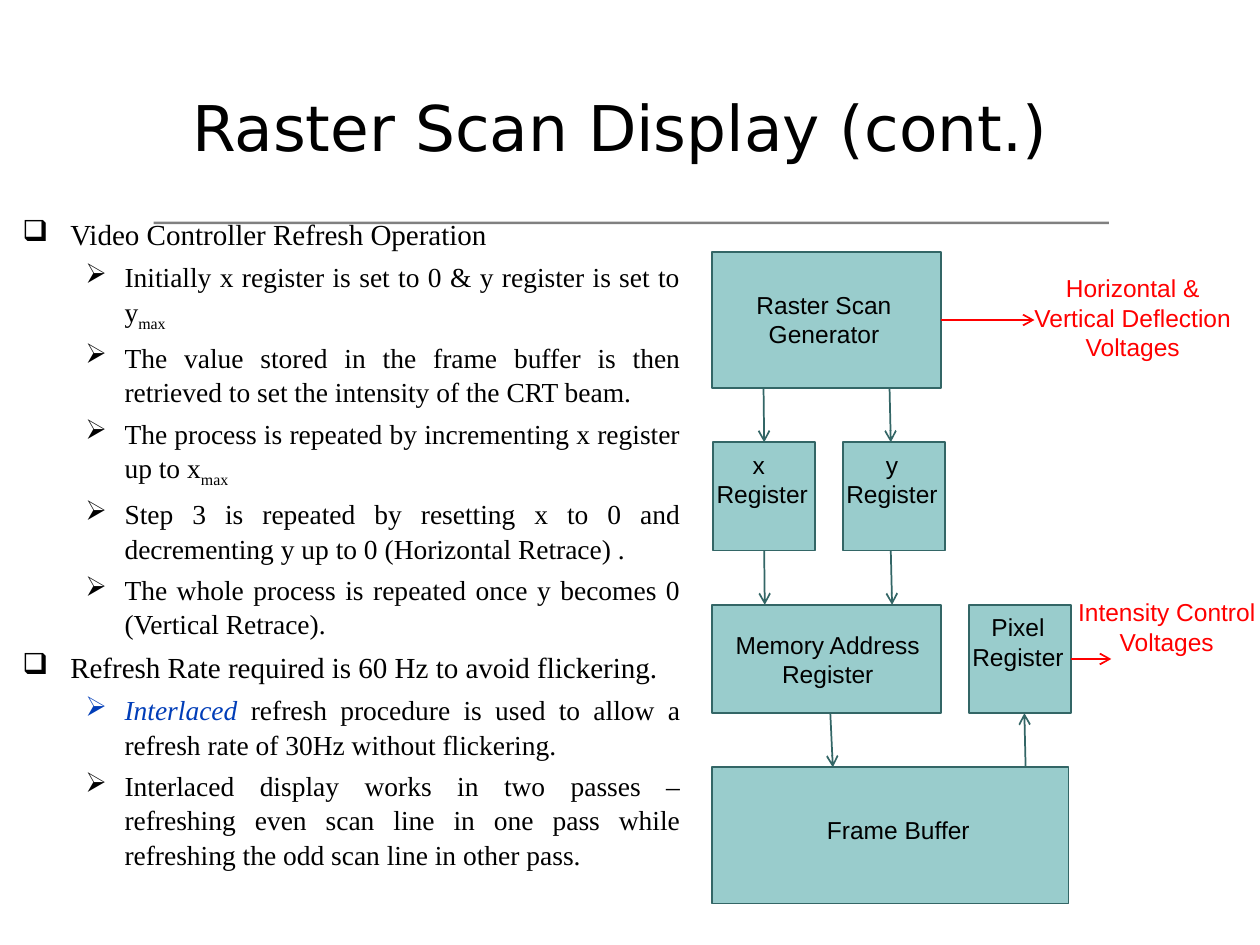
from dataclasses import dataclass

from lxml.etree import SubElement
from pptx import Presentation
from pptx.dml.color import RGBColor
from pptx.enum.shapes import MSO_CONNECTOR as Connector, MSO_SHAPE as Preset
from pptx.enum.text import MSO_ANCHOR as Anchor, MSO_AUTO_SIZE as AutoSize, PP_ALIGN as Align
from pptx.oxml.ns import qn
from pptx.util import Inches, Pt

COLUMNS, ROWS = 100, 75
WIDTH, HEIGHT = Inches(10), Inches(7.5)
TOP, LEFT, BOTTOM, RIGHT = range(4)


@dataclass(frozen=True)
class Theme:
    ink: str = "000000"
    accent: str = "003DB8"
    signal: str = "FF0000"
    box_fill: str = "99CCCC"
    box_line: str = "336666"
    rule: str = "808080"
    title_font: str = "DejaVu Sans"
    body_font: str = "Times New Roman"
    label_font: str = "Arial"
    title_size: float = 36
    topic_size: float = 16.6
    step_size: float = 15.7
    label_size: float = 14
    body_spacing: float = 1.045


THEME = Theme()

OUTLINE = [
    (0, [("Video Controller Refresh Operation", "")]),
    (1, [("Initially x register is set to 0 & y register is set to y", ""), ("max", "sub")]),
    (1, [("The value stored in the frame buffer is then retrieved to set "
          "the intensity of the CRT beam.", "")]),
    (1, [("The process is repeated by incrementing x register up to x", ""), ("max", "sub")]),
    (1, [("Step 3 is repeated by resetting x to 0 and decrementing y up to 0 "
          "(Horizontal Retrace) .", "")]),
    (1, [("The whole process is repeated once y becomes 0 (Vertical Retrace).", "")]),
    (0, [("Refresh Rate required is 60 Hz to avoid flickering.", "")]),
    (1, [("Interlaced", "term"),
         (" refresh procedure is used to allow a refresh rate of 30Hz without flickering.", "")]),
    (1, [("Interlaced display works in two passes – refreshing even scan line in one pass "
          "while refreshing the odd scan line in other pass. ", "")]),
]

NODES = {
    "generator": ((56.5, 20, 18.2, 10.8), (57.5, 22.5, 15.8, 5.7), "Raster Scan Generator"),
    "x": ((56.6, 35.1, 8.1, 8.6), (55.8, 35.2, 9.4, 5.7), "x \nRegister"),
    "y": ((66.9, 35.1, 8.1, 8.6), (66.1, 35.2, 9.4, 5.7), "y\nRegister"),
    "pixel": ((76.9, 48, 8.1, 8.6), (76.1, 48.1, 9.4, 5.7), "Pixel Register"),
    "address": ((56.5, 48, 18.2, 8.6), (57.2, 49.5, 17, 5.7), "Memory Address Register"),
    "buffer": ((56.5, 60.9, 28.3, 10.8), (64.2, 64.2, 14.2, 3.4), "Frame Buffer"),
}

SIGNALS = [
    ((80.8, 21.2, 18.2, 8), "Horizontal & Vertical Deflection Voltages"),
    ((83.5, 46.9, 18.2, 5.7), "Intensity Control Voltages"),
]


def x_at(column):
    return round(WIDTH * column / COLUMNS)


def y_at(row):
    return round(HEIGHT * row / ROWS)


def place(cell):
    column, row, across, down = cell
    return x_at(column), y_at(row), x_at(across), y_at(down)


def style(font, name, size, color):
    font.name, font.size = name, Pt(size)
    font.color.rgb = RGBColor.from_string(color)


def add_rectangle(slide, cell, fill, line=None):
    shape = slide.shapes.add_shape(Preset.RECTANGLE, *place(cell))
    shape.shadow.inherit = False
    shape.fill.solid()
    shape.fill.fore_color.rgb = RGBColor.from_string(fill)
    if line:
        shape.line.color.rgb = RGBColor.from_string(line)
        shape.line.width = Pt(1)
    else:
        shape.line.fill.background()
    return shape


def add_frame(slide, cell, auto_size=AutoSize.NONE, anchor=Anchor.TOP):
    frame = slide.shapes.add_textbox(*place(cell)).text_frame
    frame.word_wrap, frame.auto_size, frame.vertical_anchor = True, auto_size, anchor
    return frame


def add_title(slide, cell, text):
    paragraph = add_frame(slide, cell, anchor=Anchor.MIDDLE).paragraphs[0]
    paragraph.text, paragraph.alignment = text, Align.CENTER
    style(paragraph.font, THEME.title_font, THEME.title_size, THEME.ink)


def add_label(slide, cell, text, color=THEME.ink):
    frame = add_frame(slide, cell, AutoSize.SHAPE_TO_FIT_TEXT)
    frame.text = text
    for paragraph in frame.paragraphs:
        paragraph.alignment = Align.CENTER
        style(paragraph.font, THEME.label_font, THEME.label_size, color)


def add_bullet(paragraph, level, color):
    margin, hanging, mark = [(3.8, 3.8, "❑"), (8.1, 3.1, "➢")][level]
    properties = paragraph._p.get_or_add_pPr()
    properties.set("marL", str(x_at(margin)))
    properties.set("indent", str(-x_at(hanging)))
    SubElement(SubElement(properties, qn("a:buClr")), qn("a:srgbClr")).set("val", color)
    SubElement(properties, qn("a:buChar")).set("char", mark)


def add_outline(slide, cell, outline):
    frame = add_frame(slide, cell)
    for index, (level, pieces) in enumerate(outline):
        paragraph = frame.add_paragraph() if index else frame.paragraphs[0]
        paragraph.level, paragraph.alignment = level, Align.JUSTIFY
        paragraph.line_spacing = THEME.body_spacing
        if index:
            paragraph.space_before = Pt(4.2 if level else 4.5)
        add_bullet(paragraph, level, THEME.accent if pieces[0][1] == "term" else THEME.ink)
        size = THEME.step_size if level else THEME.topic_size
        for text, kind in pieces:
            run = paragraph.add_run()
            run.text = text
            style(run.font, THEME.body_font, size, THEME.accent if kind == "term" else THEME.ink)
            if kind == "term":
                run.font.italic = True
            elif kind == "sub":
                run._r.get_or_add_rPr().set("baseline", "-25000")


def add_arrow(slide, start, end, color=THEME.box_line, source=None, target=None, arrow_end="tailEnd"):
    connector = slide.shapes.add_connector(
        Connector.STRAIGHT, x_at(start[0]), y_at(start[1]), x_at(end[0]), y_at(end[1]))
    if source:
        connector.begin_connect(*source)
    if target:
        connector.end_connect(*target)
    connector.line.color.rgb = RGBColor.from_string(color)
    connector.line.width = Pt(1)
    SubElement(connector.line._get_or_add_ln(), qn(f"a:{arrow_end}")).set("type", "arrow")
    SubElement(connector._element.spPr, qn("a:effectLst"))


def add_diagram(slide):
    boxes = {}
    for name, (cell, label_cell, text) in NODES.items():
        boxes[name] = add_rectangle(slide, cell, THEME.box_fill, THEME.box_line)
        add_label(slide, label_cell, text)
    for cell, text in SIGNALS:
        add_label(slide, cell, text, THEME.signal)
    add_arrow(slide, (74.7, 25.4), (82.1, 25.4), THEME.signal, source=(boxes["generator"], RIGHT))
    add_arrow(slide, (84.8, 52.3), (88.2, 52.3), THEME.signal, source=(boxes["pixel"], RIGHT))
    add_arrow(slide, (60.6, 30.8), (60.7, 35.1), target=(boxes["x"], TOP))
    add_arrow(slide, (70.6, 30.8), (70.7, 35.1))
    add_arrow(slide, (60.6, 43.7), (60.7, 48), source=(boxes["x"], BOTTOM))
    add_arrow(slide, (70.7, 43.7), (70.8, 48))
    add_arrow(slide, (65.9, 56.6), (66.1, 60.9))
    add_arrow(slide, (81.3, 56.6), (81.4, 60.9), arrow_end="headEnd")


def main():
    presentation = Presentation()
    presentation.slide_width, presentation.slide_height = WIDTH, HEIGHT
    slide = presentation.slides.add_slide(presentation.slide_layouts[6])
    add_rectangle(slide, (12.2, 17.6, 75.8, 0.2), THEME.rule)
    add_outline(slide, (0.8, 16.6, 54.2, 56.7), OUTLINE)
    add_title(slide, (0, 5, 100, 10), "Raster Scan Display (cont.) ")
    add_diagram(slide)
    presentation.save("out.pptx")


if __name__ == "__main__":
    main()
